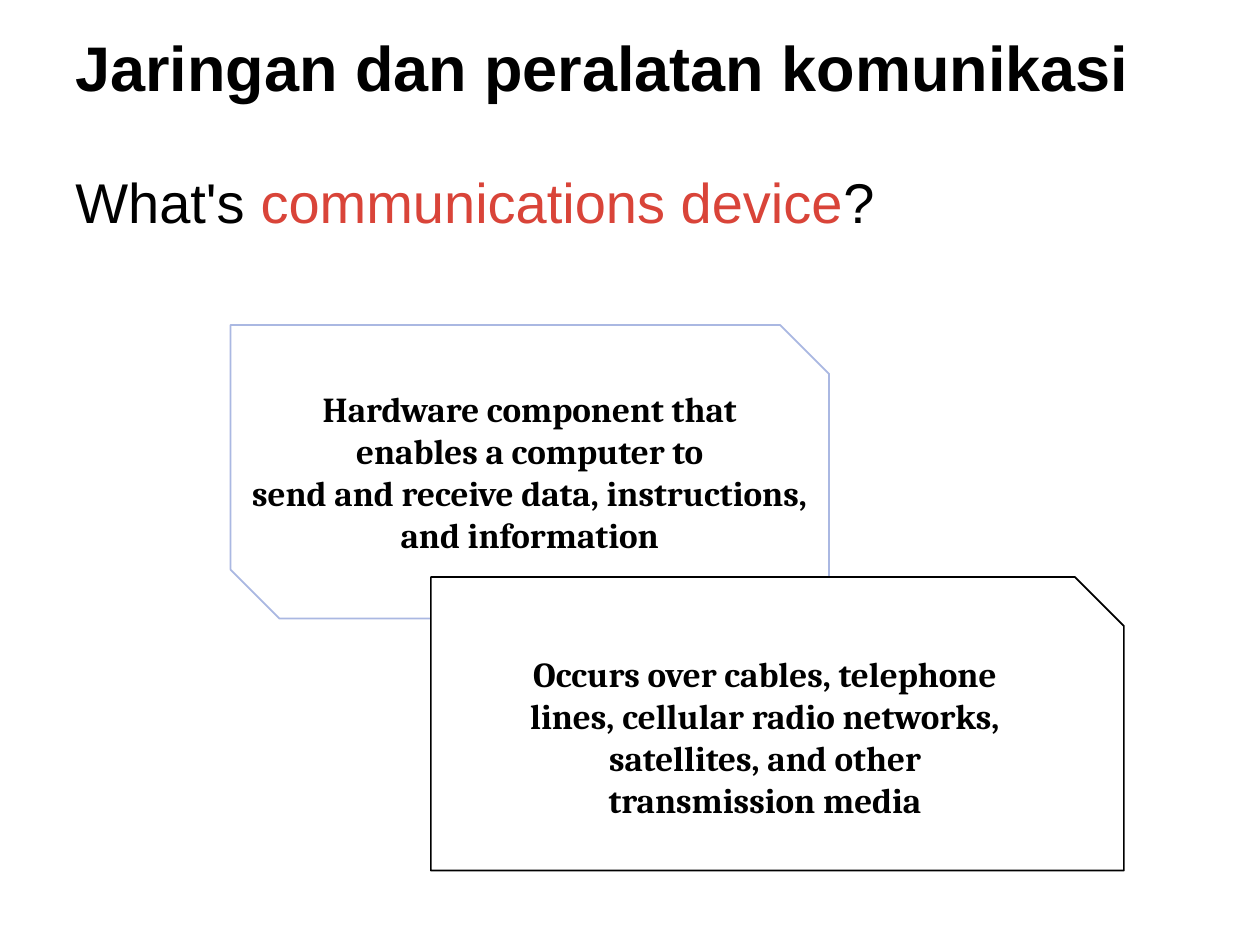
from pptx import Presentation
from pptx.dml.color import RGBColor
from pptx.enum.shapes import MSO_SHAPE
from pptx.enum.text import MSO_ANCHOR, PP_ALIGN
from pptx.util import Inches, Pt

BLACK = RGBColor(0x00, 0x00, 0x00)
WHITE = RGBColor(0xFF, 0xFF, 0xFF)
RED = RGBColor(0xD9, 0x44, 0x39)
LAVENDER = RGBColor(0xAA, 0xB8, 0xE2)
SNIP_ONE = MSO_SHAPE.SNIP_1_RECTANGLE
SNIP_DIAGONAL = MSO_SHAPE.SNIP_2_DIAG_RECTANGLE
TOP, MIDDLE = MSO_ANCHOR.TOP, MSO_ANCHOR.MIDDLE
CENTER = PP_ALIGN.CENTER

TITLE = {"name": "Arial", "size": Pt(36), "bold": True}
QUESTION = {"name": "Arial", "size": Pt(32), "bold": False}
CARD = {"name": "Cambria", "size": Pt(20), "bold": True}


class SlideBuilder:
    def __init__(self, prs):
        self.s = prs.slides.add_slide(prs.slide_layouts[6])

    def style(self, r, fmt, color=BLACK):
        for key, value in fmt.items():
            setattr(r.font, key, value)
        r.font.color.rgb = color

    def text(self, box, parts, fmt, anchor):
        tf = self.s.shapes.add_textbox(*map(Inches, box)).text_frame
        tf.word_wrap = True
        tf.vertical_anchor = anchor
        p = tf.paragraphs[0]
        for text, color in parts:
            r = p.add_run()
            r.text = text
            self.style(r, fmt, color)

    def card(self, kind, box, line, lines):
        sp = self.s.shapes.add_shape(kind, *map(Inches, box))
        sp.shadow.inherit = False
        sp.fill.solid()
        sp.fill.fore_color.rgb = WHITE
        sp.line.color.rgb = line
        sp.line.width = Pt(1)
        tf = sp.text_frame
        tf.word_wrap = False
        tf.vertical_anchor = MIDDLE
        p = tf.paragraphs[0]
        p.alignment = CENTER
        p.text = "\v".join(lines)
        for r in p.runs:
            self.style(r, CARD)


def main():
    prs = Presentation()
    prs.slide_width, prs.slide_height = Inches(10), Inches(7.5)
    b = SlideBuilder(prs)
    b.text((0.5, 0.21, 9, 0.64),
           [("Jaringan dan peralatan komunikasi", BLACK)], TITLE, MIDDLE)
    b.text((0.5, 1.28, 9, 5.42),
           [("What's ", BLACK), ("communications device", RED), ("?", BLACK)],
           QUESTION, TOP)
    b.card(SNIP_DIAGONAL, (1.83, 2.58, 4.75, 2.33), LAVENDER,
           ["Hardware component that", "enables a computer to",
            "send and receive data, instructions,", "and information"])
    b.card(SNIP_ONE, (3.42, 4.58, 5.5, 2.33), BLACK,
           ["Occurs over cables, telephone", "lines, cellular radio networks,",
            "satellites, and other", "transmission media"])
    prs.save("out.pptx")


if __name__ == "__main__":
    main()
